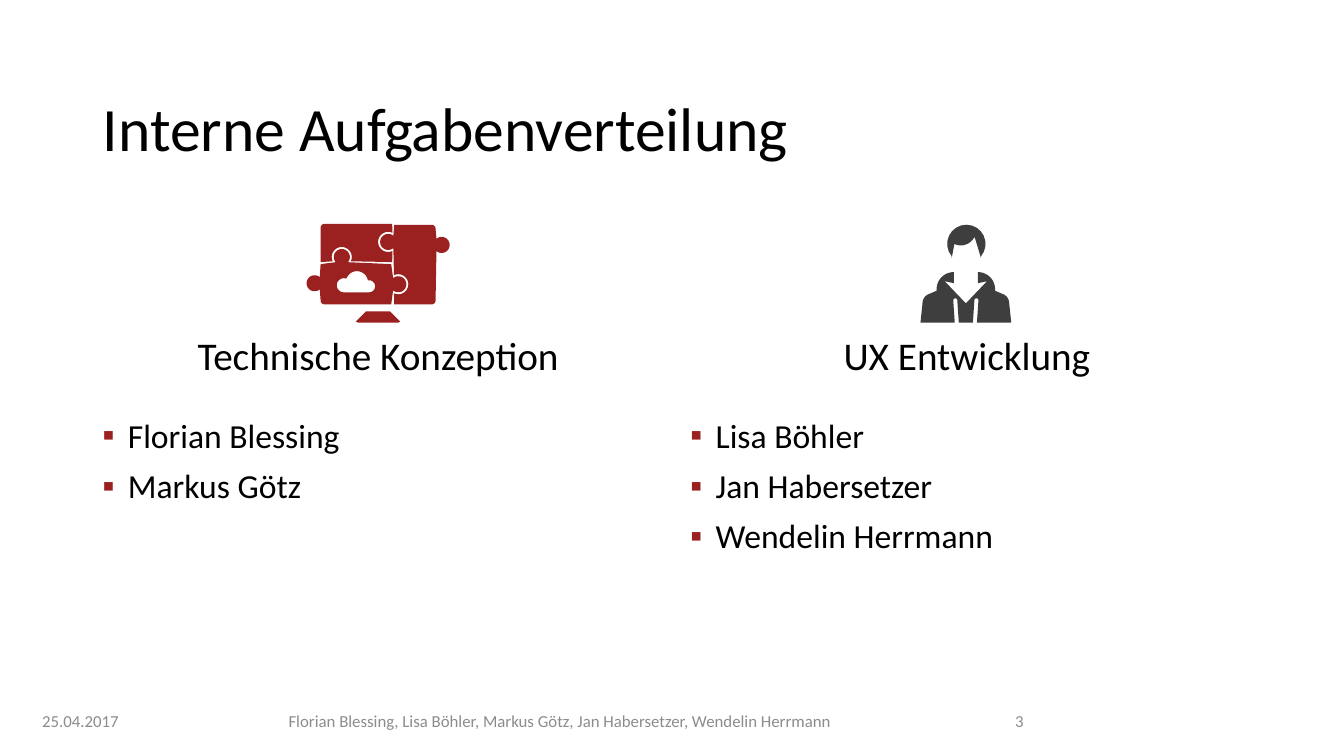
from dataclasses import dataclass
from math import cos, radians, sin

from lxml.etree import SubElement
from pptx import Presentation
from pptx.dml.color import RGBColor
from pptx.enum.text import MSO_ANCHOR as Anchor, MSO_AUTO_SIZE as AutoSize, PP_ALIGN as Align
from pptx.oxml.ns import qn
from pptx.util import Inches, Pt


@dataclass(frozen=True)
class Theme:
    font: str = "Calibri"
    text: str = "000000"
    accent: str = "9A2120"
    dark: str = "3E3E3E"
    muted: str = "8C8C8C"
    title: int = 44
    heading: int = 28
    body: int = 24
    footer: int = 12


THEME = Theme()
TITLE = "Interne Aufgabenverteilung"
COLUMNS = [
    {"heading": "Technische Konzeption", "names": ["Florian Blessing", "Markus Götz"],
     "left": 1.84, "width": 3.82, "icon": "puzzle", "color": THEME.accent},
    {"heading": "UX Entwicklung", "names": ["Lisa Böhler", "Jan Habersetzer", "Wendelin Herrmann"],
     "left": 8.25, "width": 2.68, "icon": "person", "color": THEME.dark},
]
FOOTER = [
    ("25.04.2017", 0.32, 1.2, Align.LEFT),
    ("Florian Blessing, Lisa Böhler, Markus Götz, Jan Habersetzer, Wendelin Herrmann", 2.2, 6.71, Align.CENTER),
    ("3", 9.6, 0.65, Align.RIGHT),
]
LEFT, COLUMN_WIDTH, COLUMN_STEP = 0.92, 5.67, 5.83

RIGHT_SIDE, BOTTOM_SIDE, LEFT_SIDE, TOP_SIDE = 0, 90, 180, 270
CLOCKWISE_SIDES = [TOP_SIDE, RIGHT_SIDE, BOTTOM_SIDE, LEFT_SIDE]
JOINTS = {
    "screen left": (3.12, 2.81, LEFT_SIDE),
    "screen right": (4.38, 2.43, RIGHT_SIDE),
    "top to right": (3.85, 2.40, LEFT_SIDE),
    "top to lower": (3.39, 2.55, TOP_SIDE),
    "lower to right": (3.95, 2.82, RIGHT_SIDE),
}
PIECES = {
    "top": {"bounds": (3.18, 2.22, 3.89, 2.60), "rounded": [TOP_SIDE],
            "joints": {RIGHT_SIDE: ["top to right"], BOTTOM_SIDE: ["top to lower"]}},
    "lower": {"bounds": (3.18, 2.62, 3.88, 3.02), "rounded": [LEFT_SIDE],
              "joints": {TOP_SIDE: ["top to lower"], RIGHT_SIDE: ["lower to right"],
                         LEFT_SIDE: ["screen left"]}},
    "right": {"bounds": (3.91, 2.23, 4.32, 3.02), "rounded": [RIGHT_SIDE, BOTTOM_SIDE],
              "joints": {RIGHT_SIDE: ["screen right"], LEFT_SIDE: ["lower to right", "top to right"]}},
}
KNOB_RADIUS, KNOB_REACH = 0.08, 130
SOCKET_RADIUS, SOCKET_REACH = 0.1, 115
CORNER_RADIUS = 0.04
BODY_AXIS = 9.58
ARC_STEPS = 16


def arc(x, y, radius, start, end):
    angles = [radians(start + (end - start) * step / ARC_STEPS) for step in range(ARC_STEPS + 1)]
    return [(x + radius * cos(angle), y + radius * sin(angle)) for angle in angles]


def joint_outline(joint, side):
    x, y, facing = JOINTS[joint]
    if facing == side:
        return arc(x, y, KNOB_RADIUS, facing - KNOB_REACH, facing + KNOB_REACH)
    return arc(x, y, SOCKET_RADIUS, facing + SOCKET_REACH, facing - SOCKET_REACH)


def piece_outline(bounds, rounded, joints):
    left, top, right, bottom = bounds
    corners = [(left, top, 1, 1), (right, top, -1, 1), (right, bottom, -1, -1), (left, bottom, 1, -1)]
    points = []
    for side, (x, y, inward_x, inward_y) in zip(CLOCKWISE_SIDES, corners):
        if side in rounded:
            points += arc(x + inward_x * CORNER_RADIUS, y + inward_y * CORNER_RADIUS,
                          CORNER_RADIUS, side - 90, side)
        else:
            points.append((x, y))
        for joint in joints.get(side, []):
            points += joint_outline(joint, side)
    return points


def puzzle():
    pieces = {name: [piece_outline(**piece)] for name, piece in PIECES.items()}
    left_puff = arc(3.41, 2.83, 0.07, 90, 280)
    middle_puff = arc(3.54, 2.8, 0.11, 200, 350)
    right_puff = arc(3.66, 2.84, 0.06, -80, 90)
    pieces["lower"].append(left_puff + middle_puff + right_puff)
    stand = [(3.63, 3.09), (3.87, 3.09), (3.97, 3.19), (3.95, 3.2), (3.55, 3.2), (3.53, 3.19)]
    return [*pieces.values(), [stand]]


def person():
    dome = arc(9.585, 2.42, 0.19, 140, 400)
    parting = [(9.73, 2.56), (9.67, 2.36)]
    fringe = arc(9.53, 2.285, 0.15, 27, 115)
    hair = dome + parting + fringe + [(9.44, 2.56)]

    lapel = [(BODY_AXIS, 3.01), (9.79, 2.79), (9.7, 2.81)]
    hood = arc(9.7, 2.87, 0.17, -90, 5)
    shoulder = arc(9.91, 3.01, 0.1, -60, 0)
    hem = [(10.03, 3.2), (9.69, 3.2)]
    cord = arc(9.685, 2.98, 0.02, 0, -180) + [(9.65, 3.2)]
    right_half = lapel + hood + shoulder + hem + cord
    left_half = [(2 * BODY_AXIS - x, y) for x, y in reversed(right_half)]
    return [[hair, right_half + left_half]]


ICONS = {"puzzle": puzzle, "person": person}


def apply(target, values):
    for name, value in values.items():
        setattr(target, name, value)


def draw(shapes, outlines, color):
    first, *others = [[(Inches(x), Inches(y)) for x, y in outline] for outline in outlines]
    builder = shapes.build_freeform(*first[0])
    builder.add_line_segments(first[1:], close=True)
    for contour in others:
        builder.move_to(*contour[0])
        builder.add_line_segments(contour[1:], close=True)
    shape = builder.convert_to_shape()
    shape.shadow.inherit = False
    shape.fill.solid()
    shape.fill.fore_color.rgb = RGBColor.from_string(color)
    shape.line.fill.background()


def add_bullet(para, symbol):
    props = para._p.get_or_add_pPr()
    props.set("marL", str(Inches(0.25)))
    props.set("indent", str(Inches(-0.25)))
    SubElement(SubElement(props, qn("a:buClr")), qn("a:srgbClr"), val=THEME.accent)
    SubElement(props, qn("a:buFont"), typeface=THEME.font)
    SubElement(props, qn("a:buChar"), char=symbol)


def write(box, lines, size, color=THEME.text, frame_format=None, para_format=None, bullet=None):
    frame = box.text_frame
    frame.text = "\n".join(lines)
    apply(frame, {"word_wrap": True, "auto_size": AutoSize.NONE} | (frame_format or {}))
    for para in frame.paragraphs:
        apply(para, para_format or {})
        for span in para.runs:
            apply(span.font, {"name": THEME.font, "size": Pt(size)})
            span.font.color.rgb = RGBColor.from_string(color)
        if bullet:
            add_bullet(para, bullet)


def main():
    deck = Presentation()
    apply(deck, {"slide_width": Inches(13.33), "slide_height": Inches(7.5)})
    page = deck.slides.add_slide(deck.slide_layouts[5])
    title = page.shapes.title
    apply(title, {"left": Inches(LEFT), "top": Inches(0.76), "width": Inches(11.5), "height": Inches(1.09)})
    write(title, [TITLE], THEME.title, frame_format={"vertical_anchor": Anchor.MIDDLE},
          para_format={"alignment": Align.LEFT, "line_spacing": 0.9})

    for index, column in enumerate(COLUMNS):
        box = page.shapes.add_textbox(*map(Inches, (LEFT + index * COLUMN_STEP, 4.11, COLUMN_WIDTH, 2.65)))
        write(box, column["names"], THEME.body, bullet="▪",
              para_format={"line_spacing": 0.9, "space_before": Pt(10)})
        group = page.shapes.add_group_shape()
        for outlines in ICONS[column["icon"]]():
            draw(group.shapes, outlines, column["color"])
        label = group.shapes.add_textbox(*map(Inches, (column["left"], 3.24, column["width"], 0.57)))
        write(label, [column["heading"]], THEME.heading, para_format={"alignment": Align.CENTER},
              frame_format={"word_wrap": False, "auto_size": AutoSize.SHAPE_TO_FIT_TEXT})

    for text, left, width, alignment in FOOTER:
        box = page.shapes.add_textbox(*map(Inches, (left, 6.95, width, 0.4)))
        write(box, [text], THEME.footer, THEME.muted, {"vertical_anchor": Anchor.MIDDLE},
              {"alignment": alignment})
    deck.save("out.pptx")


if __name__ == "__main__":
    main()
